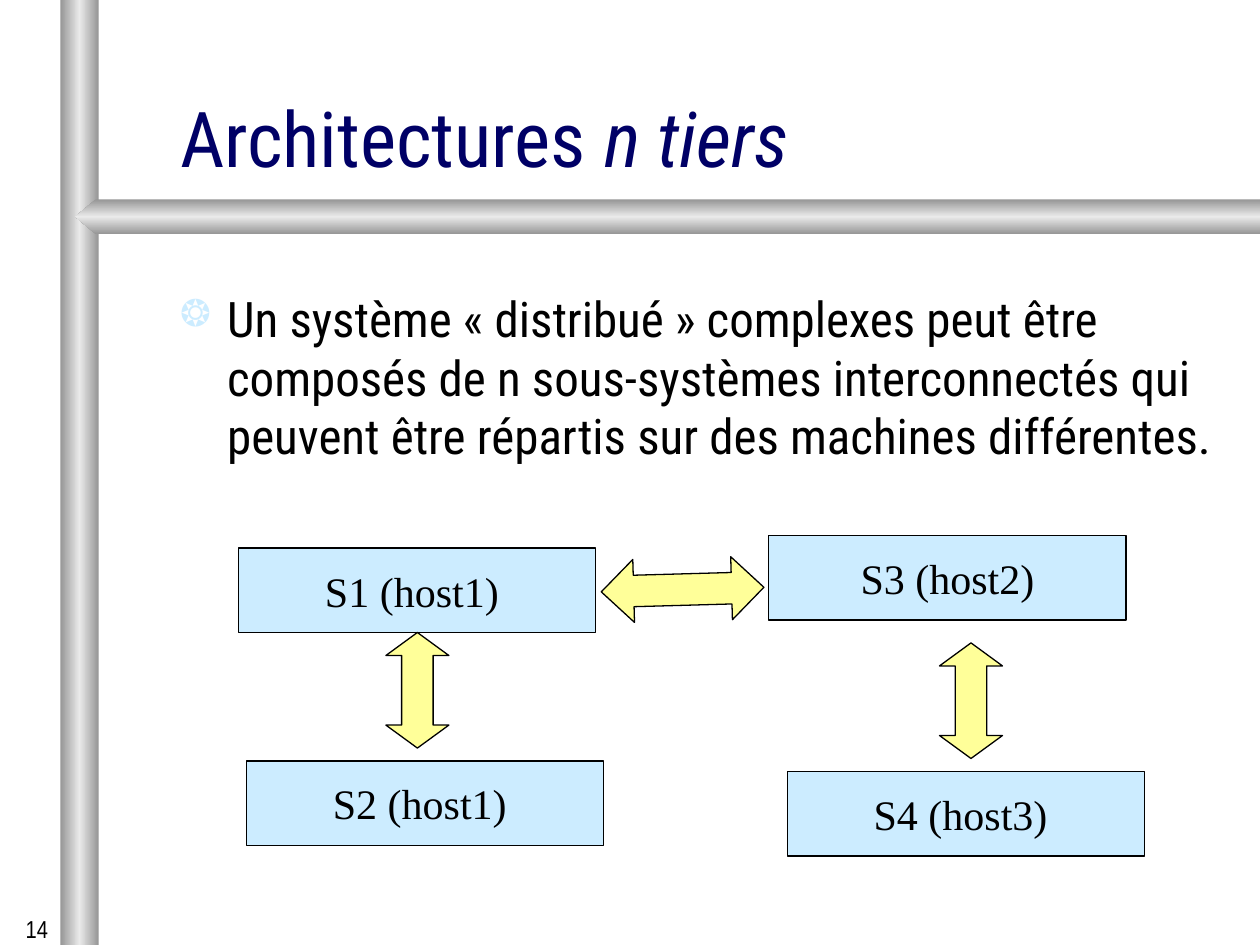
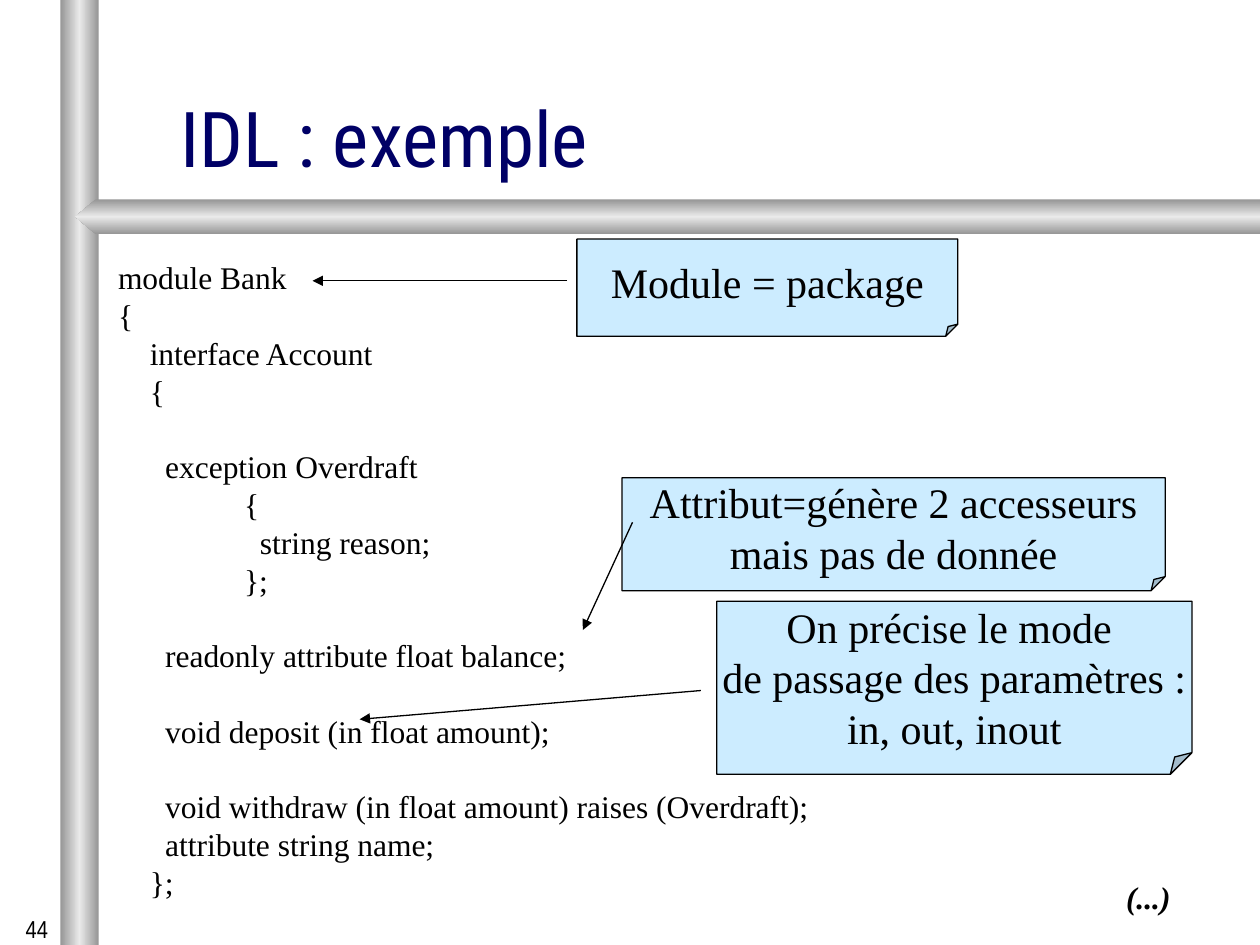
from copy import deepcopy

from lxml.etree import SubElement
from pptx import Presentation
from pptx.dml.color import RGBColor
from pptx.enum.shapes import MSO_CONNECTOR, MSO_SHAPE
from pptx.enum.text import MSO_ANCHOR, PP_ALIGN
from pptx.oxml.ns import qn
from pptx.util import Cm, Pt

NAVY, BLACK, PALE_BLUE, YELLOW = "000066", "000000", "CCECFF", "FFFF99"
BAND_STOPS = [(0, "969696"), (0.5, "EAEAEA"), (1, "969696")]
HEADING, SERIF, NARROW = "Roboto Condensed", "Times New Roman", "Arial Narrow"
WIDTH, HEIGHT = 25.4, 19.05


def color(hex_value):
    return RGBColor.from_string(hex_value)


class Deck:
    def __init__(self):
        self.presentation = Presentation()
        self.presentation.slide_width = Cm(WIDTH)
        self.presentation.slide_height = Cm(HEIGHT)
        self.slide = None

    def new_slide(self, title_runs, number):
        layout = self.presentation.slide_layouts[6]
        self.slide = self.presentation.slides.add_slide(layout)
        self.bands()
        title = self.text((3.38, 0.64, 21.59, 3.18), MSO_ANCHOR.BOTTOM)
        self.paragraph(title, title_runs, 44, HEADING, NAVY)
        page = self.text((0, 18.31, 1.22, 0.74))
        self.paragraph(page, [(number, "")], 14, NARROW, align=PP_ALIGN.RIGHT)

    def bands(self):
        upright = self.slide.shapes.add_shape(
            MSO_SHAPE.RECTANGLE, *map(Cm, (1.22, 0, 0.77, HEIGHT)))
        outline = [(1.93, 4.02), (1.52, 4.37), (1.93, 4.72), (WIDTH, 4.72)]
        builder = self.slide.shapes.build_freeform(Cm(WIDTH), Cm(4.02))
        builder.add_line_segments([(Cm(x), Cm(y)) for x, y in outline])
        for band, angle in ((upright, 0), (builder.convert_to_shape(), 90)):
            band.shadow.inherit = False
            band.line.fill.background()
            band.fill.gradient()
            stop_list = band._element.spPr.find(qn("a:gradFill")).find(qn("a:gsLst"))
            stop_list.append(deepcopy(stop_list[0]))
            for stop, (position, shade) in zip(band.fill.gradient_stops, BAND_STOPS):
                stop.position = position
                stop.color.rgb = color(shade)
            band.fill.gradient_angle = angle

    def text(self, place, anchor=MSO_ANCHOR.TOP):
        frame = self.slide.shapes.add_textbox(*map(Cm, place)).text_frame
        frame.word_wrap = True
        frame.vertical_anchor = anchor
        return frame

    def paragraph(self, frame, runs, size, font=SERIF, shade=BLACK,
                  align=PP_ALIGN.LEFT, indent=0, gap=0):
        used = frame.paragraphs[0].runs
        paragraph = frame.add_paragraph() if used else frame.paragraphs[0]
        paragraph.alignment = align
        paragraph.line_spacing = Pt(1.2 * size)
        paragraph.space_before = Pt(gap)
        properties = paragraph._p.get_or_add_pPr()
        properties.set("marL", str(Cm(indent)))
        properties.set("indent", "0")
        for words, style in runs:
            run = paragraph.add_run()
            run.text = words
            run.font.name = font
            run.font.size = Pt(size)
            run.font.color.rgb = color(shade)
            run.font.bold = "b" in style
            run.font.italic = "i" in style
        return paragraph

    def bullet(self, place, words):
        hanging = 0.95
        paragraph = self.paragraph(self.text(place), [(words, "")], 28, HEADING,
                                   indent=hanging)
        properties = paragraph._p.get_or_add_pPr()
        properties.set("indent", str(-Cm(hanging)))
        tint = SubElement(properties, qn("a:buClr"))
        SubElement(tint, qn("a:srgbClr"), val=PALE_BLUE)
        SubElement(properties, qn("a:buSzPct"), val="75000")
        SubElement(properties, qn("a:buChar"), char="❂")

    def shape(self, kind, place, fill):
        shape = self.slide.shapes.add_shape(kind, *map(Cm, place))
        shape.shadow.inherit = False
        shape.fill.solid()
        shape.fill.fore_color.rgb = color(fill)
        shape.line.color.rgb = color(BLACK)
        shape.line.width = Pt(0.75)
        return shape

    def label(self, kind, place, lines):
        shape = self.shape(kind, place, PALE_BLUE)
        frame = shape.text_frame
        frame.word_wrap = False
        frame.vertical_anchor = MSO_ANCHOR.MIDDLE
        for line in lines:
            self.paragraph(frame, [(line, "")], 24, align=PP_ALIGN.CENTER)
        return shape

    def system(self, left, top, name):
        self.label(MSO_SHAPE.RECTANGLE, (left, top, 7.2, 1.7), [name])

    def note(self, place, lines):
        shape = self.label(MSO_SHAPE.FOLDED_CORNER, place, lines)
        guides = shape._element.spPr.find(qn("a:prstGeom")).find(qn("a:avLst"))
        SubElement(guides, qn("a:gd"), name="adj", fmla="val 12500")

    def exchange(self, place, rotation, head):
        arrow = self.shape(MSO_SHAPE.LEFT_RIGHT_ARROW, place, YELLOW)
        arrow.rotation = rotation
        arrow.adjustments[0] = 0.5
        arrow.adjustments[1] = head

    def pointer(self, start, end):
        line = self.slide.shapes.add_connector(
            MSO_CONNECTOR.STRAIGHT, *map(Cm, start + end))
        line.line.color.rgb = color(BLACK)
        line.line.width = Pt(0.75)
        SubElement(line.line._get_or_add_ln(), qn("a:tailEnd"), type="triangle")
        SubElement(line._element.spPr, qn("a:effectLst"))

    def code(self, place, lines):
        frame = self.text(place)
        for words, indent, blank_lines in lines:
            self.paragraph(frame, [(words, "")], 18, indent=indent,
                           gap=21.6 * blank_lines)


def tiers_slide(deck):
    deck.new_slide([("Architectures ", ""), ("n tiers", "i")], "14")
    deck.bullet((3.38, 5.69, 21.59, 11.43),
                "Un système « distribué » complexes peut être composés de n "
                "sous-systèmes interconnectés qui peuvent être répartis sur des "
                "machines différentes.")
    for left, top, name in ((4.97, 15.34, "S2 (host1) "), (15.87, 15.56, "S4 (host3) "),
                            (4.81, 11.05, "S1 (host1) "), (15.5, 10.8, "S3 (host2)")):
        deck.system(left, top, name)
    for left, top in ((18.41, 13.49), (7.25, 13.28)):
        deck.exchange((left, top, 2.33, 1.27), 270, 0.365)
    deck.exchange((12.12, 11.25, 3.28, 1.27), 178.4, 0.514)


def idl_slide(deck):
    deck.new_slide([("IDL : exemple", "")], "44")
    member, nested = 0.95, 2.54
    deck.code((2.13, 5.08, 15, 13.8), [
        ("module Bank", 0, 0),
        ("{", 0, 0),
        ("interface Account", 0.64, 0),
        ("{", 0.64, 0),
        ("exception Overdraft", member, 1),
        ("{", nested, 0),
        ("string reason;", nested + 0.32, 0),
        ("};", nested, 0),
        ("readonly attribute float balance;", member, 1),
        ("void deposit (in float amount);", member, 1),
        ("void withdraw (in float amount) raises (Overdraft);", member, 1),
        ("attribute string name;", member, 0),
        ("};", 0.64, 0),
    ])
    deck.paragraph(deck.text((22.45, 17.58, 1.6, 1.02)), [("(...)", "bi")], 18)
    notes = [
        ((11.63, 4.82, 7.68, 1.96), ["Module = package"], (11.43, 5.66), (6.3, 5.66)),
        ((12.54, 9.63, 10.95, 2.28),
         ["Attribut=génère 2 accesseurs", "mais pas de donnée"],
         (12.75, 10.53), (11.75, 12.7)),
        ((14.45, 12.12, 9.58, 3.49),
         ["On précise le mode ", "de passage des paramètres :", "in, out, inout"],
         (14.13, 13.92), (7.25, 14.5)),
    ]
    for place, lines, start, end in notes:
        deck.note(place, lines)
        deck.pointer(start, end)


def main():
    deck = Deck()
    tiers_slide(deck)
    idl_slide(deck)
    deck.presentation.save("out.pptx")


if __name__ == "__main__":
    main()
